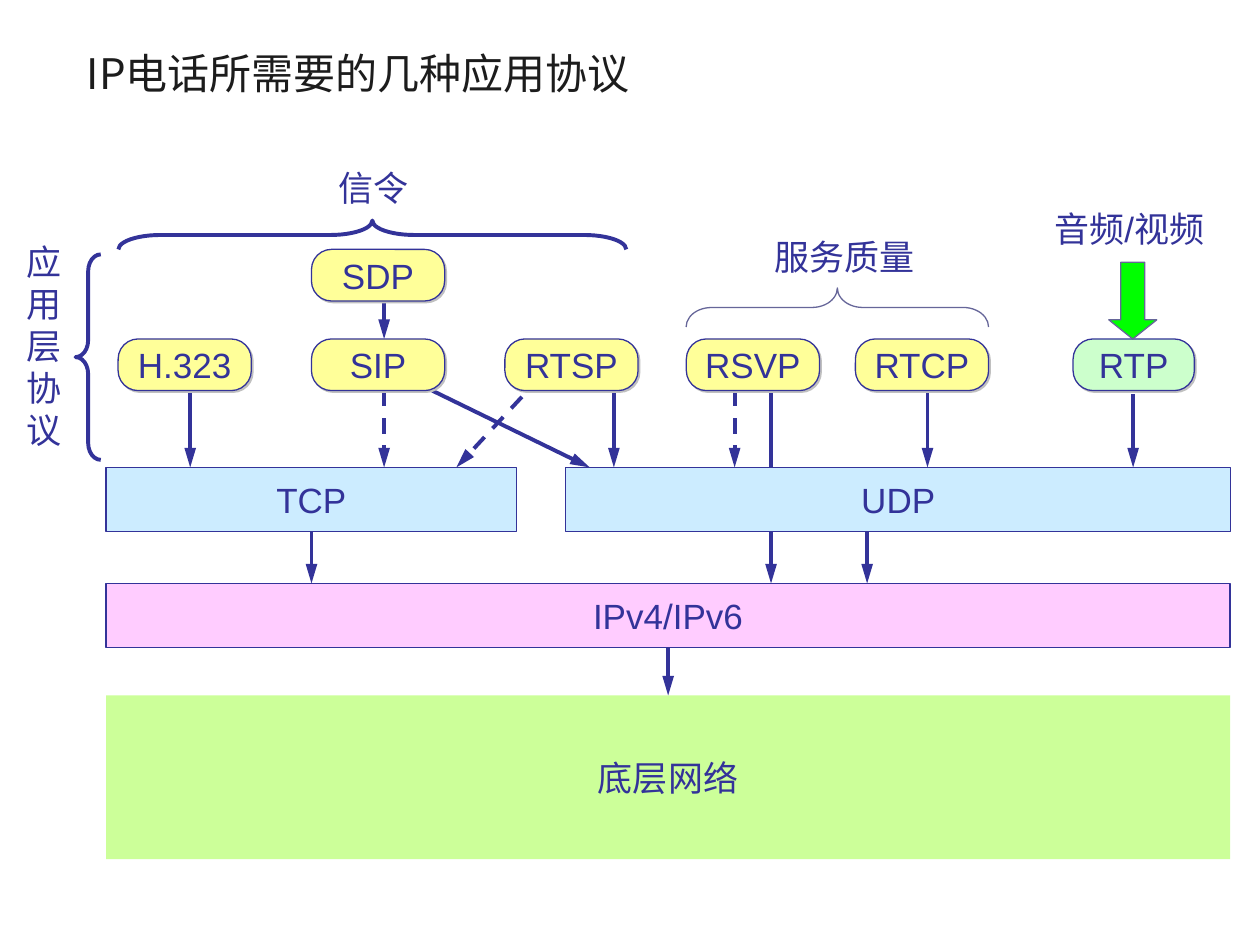
"""Draw the protocol stack used by IP telephony."""
from dataclasses import dataclass

import pptx
import pptx.dml.color
import pptx.enum.dml
import pptx.enum.shapes
import pptx.enum.text
import pptx.oxml
import pptx.oxml.ns
import pptx.util

Pt = pptx.util.Pt
Kind = pptx.enum.shapes.MSO_SHAPE
Align = pptx.enum.text.PP_ALIGN
Middle = pptx.enum.text.MSO_ANCHOR.MIDDLE

NAVY = "333399"
SLATE = "666699"
YELLOW = "FFFF99"
SKY = "CCECFF"
HAN = "Noto Sans CJK SC"
SPACE = 'xmlns:a="http://schemas.openxmlformats.org/drawingml/2006/main"'

TOP, ROW, MID, NET, BASE = 142.5, 193.7, 267.1, 333.4, 397.4
LOW, SILL = 223.2, 303.8
TALL, THICK = 29.5, 36.7


@dataclass
class Box:
    text: str
    left: float
    top: float
    width: float
    height: float
    fill: str
    edge: str | None = NAVY
    round: bool = False


@dataclass
class Line:
    x1: float
    y1: float
    x2: float
    y2: float
    dash: bool = False


@dataclass
class Brace:
    left: float
    top: float
    width: float
    height: float
    bend: float
    turn: int
    edge: str
    weight: float


@dataclass
class Label:
    text: str
    left: float
    top: float
    width: float
    height: float


def tint(code: str) -> pptx.dml.color.RGBColor:
    return pptx.dml.color.RGBColor.from_string(code)


def paint(shape, fill: str | None, edge: str | None, weight: float = 0.75) -> None:
    shape.shadow.inherit = False
    if fill:
        shape.fill.solid()
        shape.fill.fore_color.rgb = tint(fill)
    else:
        shape.fill.background()
    if edge:
        shape.line.color.rgb = tint(edge)
        shape.line.width = Pt(weight)
    else:
        shape.line.fill.background()


def style(frame, align, size: int = 20, code: str = NAVY, face: str = "Arial") -> None:
    for para in frame.paragraphs:
        para.alignment = align
        for run in para.runs:
            run.font.size = Pt(size)
            run.font.name = face
            run.font.color.rgb = tint(code)
            latin = run.font._element.find(pptx.oxml.ns.qn("a:latin"))
            latin.addnext(pptx.oxml.parse_xml(f'<a:ea {SPACE} typeface="{HAN}"/>'))


def add_box(slide, box: Box):
    kind = Kind.ROUNDED_RECTANGLE if box.round else Kind.RECTANGLE
    shape = slide.shapes.add_shape(
        kind, Pt(box.left), Pt(box.top), Pt(box.width), Pt(box.height))
    paint(shape, box.fill, box.edge)
    if box.round:
        shape.adjustments[0] = 0.39
        glow = shape._element.spPr.find(pptx.oxml.ns.qn("a:effectLst"))
        glow.append(pptx.oxml.parse_xml(
            f'<a:outerShdw {SPACE} dist="{Pt(1.4)}" dir="2700000" algn="ctr" '
            'rotWithShape="0"><a:srgbClr val="C0C0C0"/></a:outerShdw>'))
    frame = shape.text_frame
    frame.text = box.text
    frame.word_wrap = False
    frame.vertical_anchor = Middle
    style(frame, Align.CENTER)
    return shape


def add_line(slide, line: Line):
    link = slide.shapes.add_connector(
        pptx.enum.shapes.MSO_CONNECTOR.STRAIGHT,
        Pt(line.x1), Pt(line.y1), Pt(line.x2), Pt(line.y2))
    link.line.color.rgb = tint(NAVY)
    link.line.width = Pt(2.25)
    if line.dash:
        link.line.dash_style = pptx.enum.dml.MSO_LINE.DASH
    link.line._get_or_add_ln().append(pptx.oxml.parse_xml(
        f'<a:tailEnd {SPACE} type="triangle" w="med" len="lg"/>'))
    link._element.spPr.append(pptx.oxml.parse_xml(f"<a:effectLst {SPACE}/>"))
    return link


def add_brace(slide, brace: Brace) -> None:
    shape = slide.shapes.add_shape(
        Kind.LEFT_BRACE, Pt(brace.left), Pt(brace.top), Pt(brace.width), Pt(brace.height))
    shape.adjustments[0] = brace.bend
    shape.rotation = brace.turn
    paint(shape, None, brace.edge, brace.weight)


def add_label(slide, label: Label) -> None:
    shape = slide.shapes.add_textbox(
        Pt(label.left), Pt(label.top), Pt(label.width), Pt(label.height))
    frame = shape.text_frame
    frame.text = label.text
    frame.word_wrap = False
    frame.auto_size = pptx.enum.text.MSO_AUTO_SIZE.NONE
    style(frame, Align.LEFT)


def add_title(slide, text: str) -> None:
    title = slide.shapes.title
    title.left, title.top, title.width, title.height = Pt(42.5), Pt(22.3), Pt(647.3), Pt(38.2)
    title.text_frame.text = text
    title.text_frame.vertical_anchor = Middle
    style(title.text_frame, Align.LEFT, 24, "1C1C1C", HAN)


def pill(text: str, left: float, top: float = ROW, width: float = 76.1,
         fill: str = YELLOW) -> Box:
    return Box(text, left, top, width, TALL, fill, round=True)


BARS = [
    Box("TCP", 60.6, MID, 234.7, THICK, SKY),
    Box("UDP", 323.3, MID, 380, THICK, SKY),
]
STACK = [
    Box("IPv4/IPv6", 60.6, NET, 642.4, THICK, "FFCCFF"),
    Box("底层网络", 60.6, BASE, 642.4, 93.6, "CCFF99", None),
]
PILLS = [
    pill("H.323", 67.5),
    pill("SIP", 178),
    pill("SDP", 178, TOP),
    pill("RTSP", 288.5),
    pill("RSVP", 392.2),
    pill("RTCP", 488.8),
    pill("RTP", 613.2, width=69.3, fill="CCFFCC"),
]
LINES = [
    Line(178, SILL, 178, NET),
    Line(495.5, SILL, 495.5, NET),
    Line(108.7, LOW, 108.7, MID),
    Line(219.5, LOW, 219.5, MID, True),
    Line(308.9, 215.3, 260.8, MID, True),
    Line(530, LOW, 530, MID),
    Line(350.8, LOW, 350.8, MID),
    Line(247, LOW, 337, MID),
    Line(647.5, 225.4, 647.5, MID),
    Line(419.8, LOW, 419.8, MID, True),
    Line(219.5, TOP + TALL, 219.5, ROW),
]
BRACES = [
    Brace(467.3, 89.3, 22.3, 172.8, 0.65, 90, SLATE, 0.75),
    Brace(204.5, -10.8, 16.5, 290.2, 1.46, 90, NAVY, 2.25),
    Brace(43.2, 145.4, 14.4, 117.4, 0.67, 0, NAVY, 2.25),
]
LABELS = [
    Label("信令", 186.5, 91.4, 60, 31.7),
    Label("服务质量", 435.6, 131, 100, 31.7),
    Label("音频/视频", 595.4, 115.2, 116, 31.7),
    Label("\n".join("应用层协议"), 7.9, 133.9, 36, 127.4),
]


def main() -> None:
    deck = pptx.Presentation()
    deck.slide_width, deck.slide_height = Pt(720), Pt(540)
    slide = deck.slides.add_slide(deck.slide_layouts[5])
    add_title(slide, "IP电话所需要的几种应用协议")
    add_line(slide, Line(440.6, LOW, 440.6, NET))
    for bar in BARS:
        add_box(slide, bar)
    for line in LINES:
        add_line(slide, line)
    core, base = [add_box(slide, box) for box in STACK]
    link = add_line(slide, Line(381.8, NET + THICK, 381.8, BASE))
    link.begin_connect(core, 2)
    link.end_connect(base, 0)
    for box in PILLS:
        add_box(slide, box)
    for brace in BRACES:
        add_brace(slide, brace)
    for label in LABELS:
        add_label(slide, label)
    arrow = slide.shapes.add_shape(Kind.DOWN_ARROW, Pt(633.6), Pt(149.8), Pt(27.4), Pt(43.9))
    arrow.adjustments[0], arrow.adjustments[1] = 0.5, 0.4
    paint(arrow, "00FF00", SLATE)
    deck.save("out.pptx")


if __name__ == "__main__":
    main()
